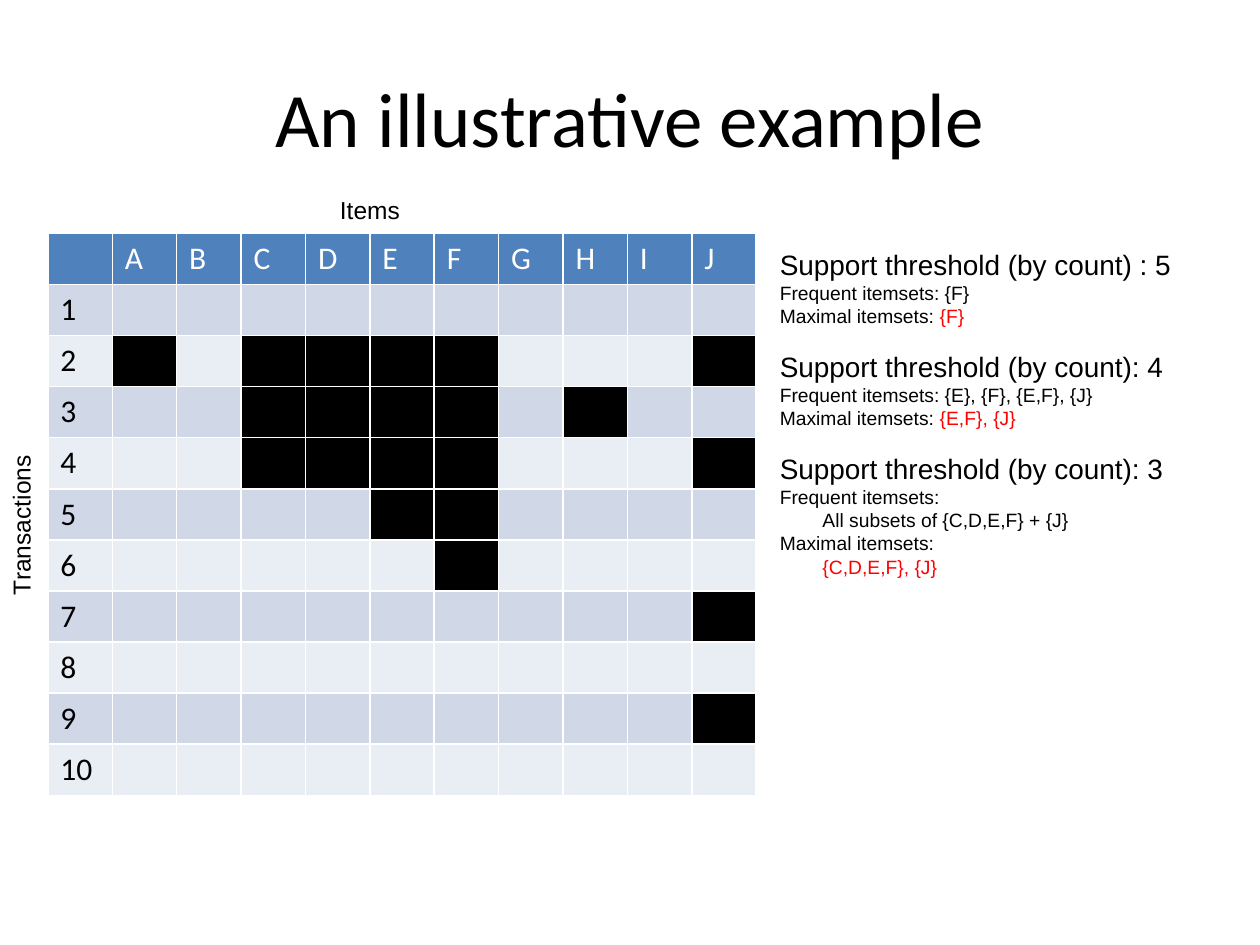
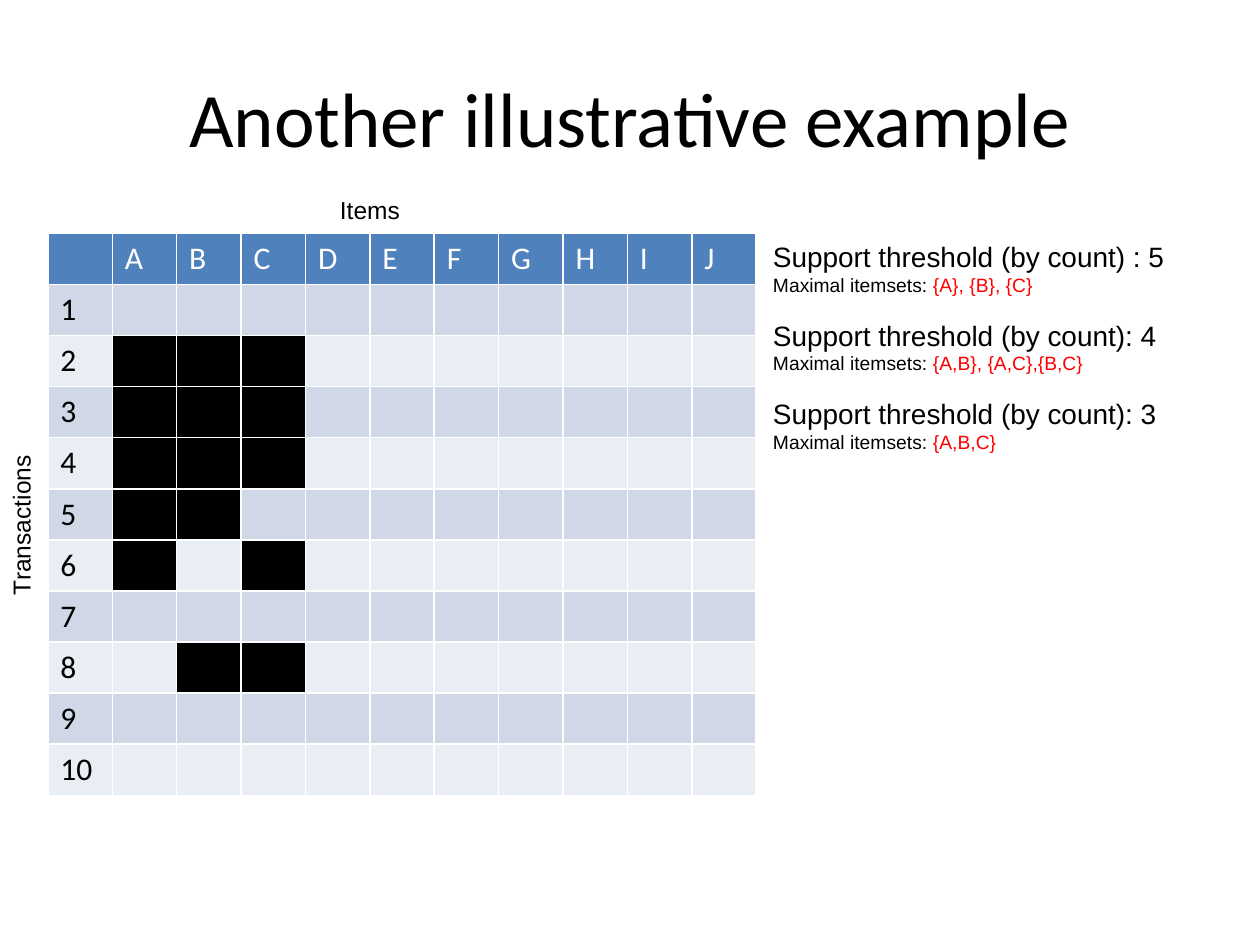
from lxml import etree
from pptx import Presentation
from pptx.dml.color import RGBColor
from pptx.enum.text import MSO_ANCHOR as Anchor, PP_ALIGN as Align
from pptx.oxml.ns import qn
from pptx.util import Pt

COLORS = {
    "text": "000000",
    "answer": "FF0000",
    "header": "4F81BD",
    "header_text": "FFFFFF",
    "odd_row": "D0D8E8",
    "even_row": "E9EDF4",
    "present": "000000",
    "border": "FFFFFF",
}
ITEMS = "ABCDEFGHIJ"
TRANSACTIONS = 10
COL_W, ROW_H = 36.8, 29.2
TABLE_LEFT, TABLE_TOP = 27.36, 133.3
HEADING, DETAIL = 16, 11
GROUP_GAP = 12.65
DETAIL_INDENT = 24.4


def color(name):
    return RGBColor.from_string(COLORS[name])


def add_run(p, text, size, font="Arial", name="text"):
    r = p.add_run()
    r.text = text
    r.font.size = Pt(size)
    r.font.name = font
    r.font.color.rgb = color(name)


def add_box(slide, left, top, width, height):
    sp = slide.shapes.add_textbox(Pt(left), Pt(top), Pt(width), Pt(height))
    sp.text_frame.word_wrap = True
    return sp


def add_title(slide, text):
    tf = add_box(slide, 36, 21.6, 648, 90).text_frame
    tf.vertical_anchor = Anchor.MIDDLE
    p = tf.paragraphs[0]
    p.alignment = Align.CENTER
    add_run(p, text, 44, "Calibri")


def add_axis_label(slide, text, left, top, width, rotation=0):
    sp = add_box(slide, left, top, width, 28.8)
    sp.rotation = rotation
    add_run(sp.text_frame.paragraphs[0], text, 14)


def style_cell(cell, fill):
    tc_pr = cell._tc.get_or_add_tcPr()
    for side in ("lnL", "lnR", "lnT", "lnB"):
        ln = etree.SubElement(tc_pr, qn(f"a:{side}"), w=str(Pt(1)))
        solid = etree.SubElement(ln, qn("a:solidFill"))
        etree.SubElement(solid, qn("a:srgbClr"), val=COLORS["border"])
    cell.fill.solid()
    cell.fill.fore_color.rgb = color(fill)


def add_transaction_table(slide, baskets):
    """Blacken the items that each transaction in baskets contains."""
    rows, cols = TRANSACTIONS + 1, len(ITEMS) + 1
    table = slide.shapes.add_table(
        rows, cols, Pt(TABLE_LEFT), Pt(TABLE_TOP),
        Pt(COL_W * cols), Pt(ROW_H * rows)).table
    for col in table.columns:
        col.width = Pt(COL_W)
    for row in table.rows:
        row.height = Pt(ROW_H)

    # Header row
    style_cell(table.cell(0, 0), "header")
    for c, item in enumerate(ITEMS, 1):
        cell = table.cell(0, c)
        style_cell(cell, "header")
        add_run(cell.text_frame.paragraphs[0], item, 18, "Calibri", "header_text")

    # One row per transaction
    for n in range(1, rows):
        band = "odd_row" if n % 2 else "even_row"
        cell = table.cell(n, 0)
        style_cell(cell, band)
        add_run(cell.text_frame.paragraphs[0], str(n), 18, "Calibri")
        for c, item in enumerate(ITEMS, 1):
            present = item in baskets.get(n, "")
            style_cell(table.cell(n, c), "present" if present else band)


def add_thresholds(slide, left, top, height, groups):
    """Each group is a heading and its lines of (label, answer, indented)."""
    tf = add_box(slide, left, top, 260.6, height).text_frame
    for i, (heading, lines) in enumerate(groups):
        p = tf.add_paragraph() if i else tf.paragraphs[0]
        if i:
            p.space_before = Pt(GROUP_GAP)
        add_run(p, heading, HEADING)
        for label, answer, indented in lines:
            p = tf.add_paragraph()
            if indented:
                p._p.get_or_add_pPr().set("marL", str(Pt(DETAIL_INDENT)))
            if label:
                add_run(p, label, DETAIL)
            if answer:
                add_run(p, answer, DETAIL, name="answer")


def frequent(sets):
    return (f"Frequent itemsets: {sets}", "", False)


def maximal(sets):
    return ("Maximal itemsets: ", sets, False)


def add_example(prs, title, baskets, notes_box, groups):
    slide = prs.slides.add_slide(prs.slide_layouts[6])
    add_title(slide, title)
    add_thresholds(slide, *notes_box, groups)
    add_transaction_table(slide, baskets)
    add_axis_label(slide, "Items", 187.2, 108, 55.4)
    add_axis_label(slide, "Transactions", -39, 279.4, 106.6, 270)


def main():
    prs = Presentation()
    prs.slide_width, prs.slide_height = Pt(720), Pt(540)

    add_example(
        prs, "An illustrative example",
        {2: "ACDEFJ", 3: "CDEFH", 4: "CDEFJ", 5: "EF", 6: "F", 7: "J", 9: "J"},
        (438.5, 138.2, 203.8),
        [
            ("Support threshold (by count) : 5",
             [frequent("{F}"), maximal("{F}")]),
            ("Support threshold (by count): 4",
             [frequent("{E}, {F}, {E,F}, {J}"), maximal("{E,F}, {J}")]),
            ("Support threshold (by count): 3",
             [("Frequent itemsets:", "", False),
              ("All subsets of {C,D,E,F} + {J}", "", True),
              ("Maximal itemsets:", "", False),
              ("", "{C,D,E,F}, {J}", True)]),
        ])

    add_example(
        prs, "Another illustrative example",
        {2: "ABC", 3: "ABC", 4: "ABC", 5: "AB", 6: "AC", 8: "BC"},
        (434.6, 133.2, 133.2),
        [
            ("Support threshold (by count) : 5", [maximal("{A}, {B}, {C}")]),
            ("Support threshold (by count): 4", [maximal("{A,B}, {A,C},{B,C}")]),
            ("Support threshold (by count): 3", [maximal("{A,B,C}")]),
        ])

    prs.save("out.pptx")


if __name__ == "__main__":
    main()
